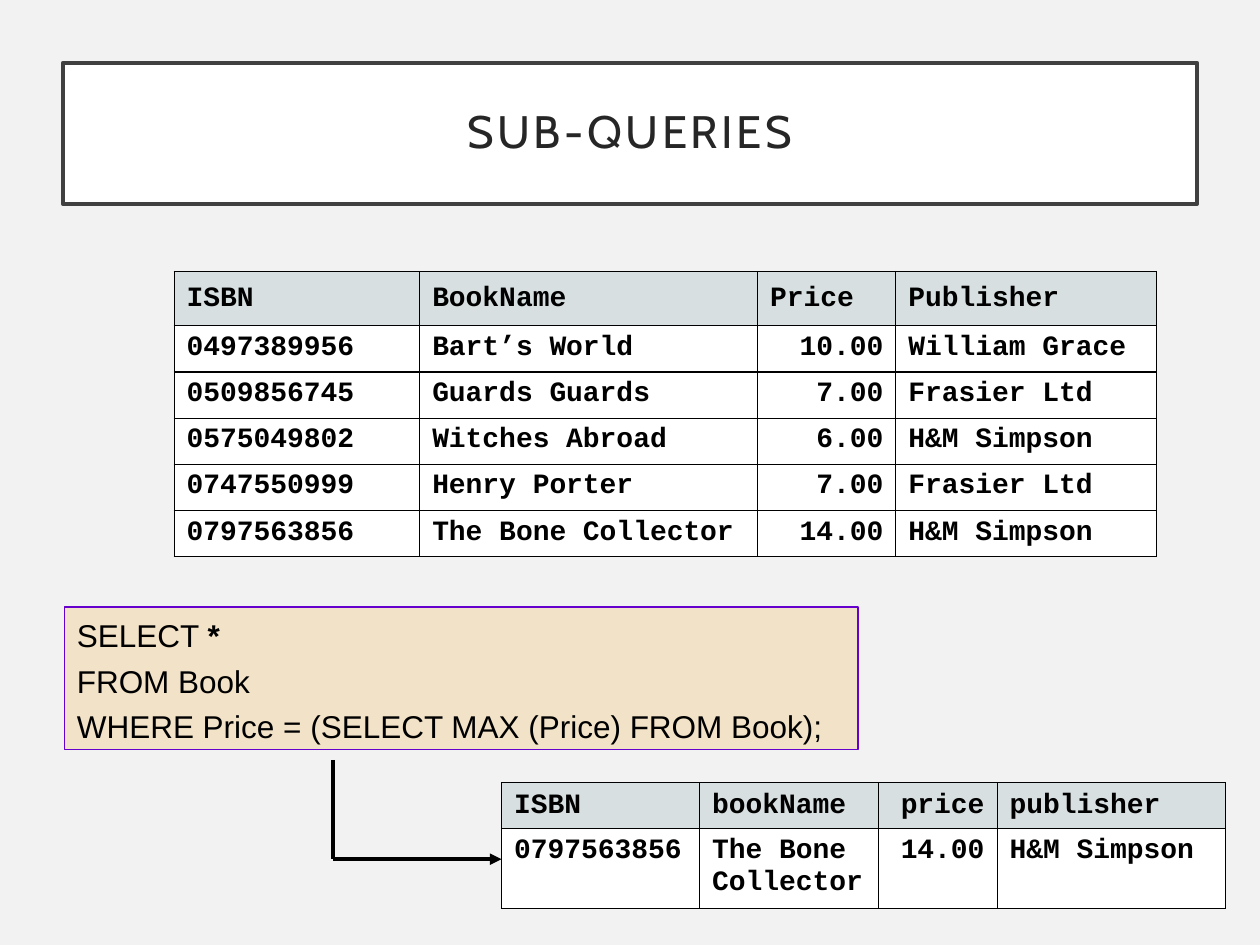
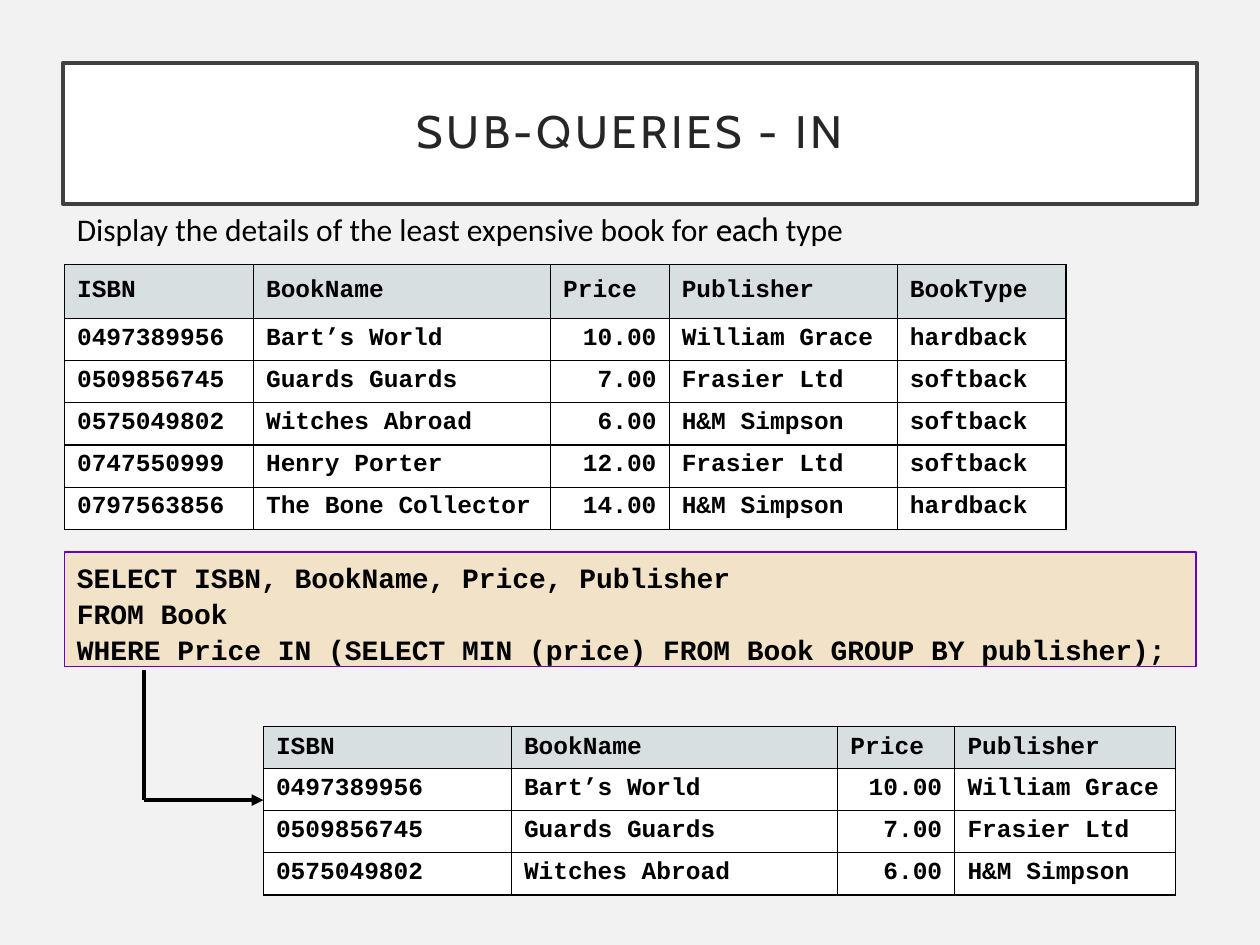
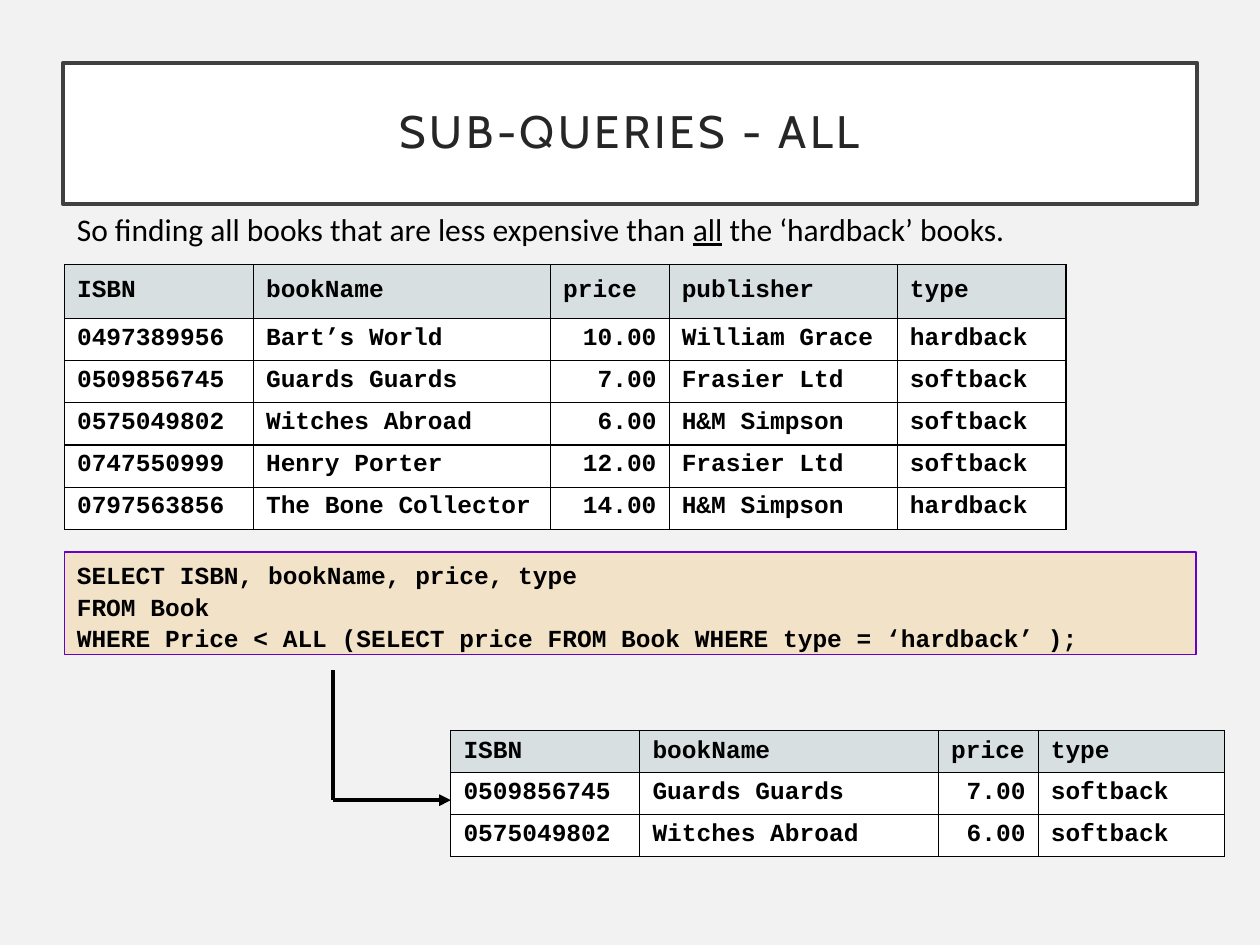
from dataclasses import dataclass, replace
from typing import NamedTuple, Optional

from lxml.etree import SubElement
from pptx import Presentation
from pptx.dml.color import RGBColor
from pptx.enum.shapes import MSO_CONNECTOR as Connector, MSO_SHAPE as Shape
from pptx.enum.text import MSO_ANCHOR as Anchor, MSO_AUTO_SIZE as AutoSize, PP_ALIGN as Align
from pptx.oxml.ns import qn
from pptx.util import Cm, Pt

PAPER, WHITE, BLACK = "F2F2F2", "FFFFFF", "000000"
FRAME, TITLE_INK = "404040", "262626"
HEADER_FILL, CODE_FILL, CODE_EDGE = "D7DFE1", "F6A21D", "6600CC"
MONO, SANS, HUMANIST, DISPLAY = "Courier New", "Arial", "Calibri", "Cabin"
LEFT_EDGE = 1.3


class Run(NamedTuple):
    text: str
    font: Optional[str] = None
    bold: Optional[bool] = None
    underline: Optional[bool] = None


class Box(NamedTuple):
    left: float
    top: float
    width: float
    height: float


@dataclass(frozen=True)
class Book:
    isbn: str
    name: str
    price: str
    publisher: str
    binding: str


@dataclass(frozen=True)
class Grid:
    left: float
    top: float
    widths: tuple[float, ...]
    header_height: float
    row_height: float
    headings: dict[str, str]
    books: list[Book]
    size: int = 14
    price_heading_right: bool = False


@dataclass(frozen=True)
class Query:
    box: Box
    lines: list[list[Run]]
    font: str
    size: int
    bold: bool
    gap: float = 0


@dataclass(frozen=True)
class Elbow:
    left: float
    top: float
    bottom: float
    right: float


@dataclass(frozen=True)
class Lesson:
    title: str
    source: Grid
    query: Query
    arrow: Elbow
    result: Grid
    caption: tuple[Run, ...] = ()
    caption_width: float = 0


BOOKS = [
    Book("0497389956", "Bart’s World", "10.00", "William Grace", "hardback"),
    Book("0509856745", "Guards Guards", "7.00", "Frasier Ltd", "softback"),
    Book("0575049802", "Witches Abroad", "6.00", "H&M Simpson", "softback"),
    Book("0747550999", "Henry Porter", "12.00", "Frasier Ltd", "softback"),
    Book("0797563856", "The Bone Collector", "14.00", "H&M Simpson", "hardback"),
]
BOOKS_WITH_DISCOUNT = [replace(book, price="7.00") if book.name == "Henry Porter" else book
                       for book in BOOKS]

CAPITALISED = {"isbn": "ISBN", "name": "BookName", "price": "Price", "publisher": "Publisher"}
LOWERCASE = {"isbn": "ISBN", "name": "bookName", "price": "price", "publisher": "publisher"}
TYPED_BOOKS = Grid(LEFT_EDGE, 5.33, (3.81, 5.99, 2.39, 4.6, 3.4), 1.09, 0.85,
                   CAPITALISED | {"binding": "BookType"}, BOOKS)

LESSONS = [
    Lesson(
        title="SUB-QUERIES",
        source=Grid(3.51, 5.47, (4.95, 6.81, 2.79, 5.26), 1.1, 0.93,
                    CAPITALISED, BOOKS_WITH_DISCOUNT, size=16),
        query=Query(Box(LEFT_EDGE, 12.24, 16, 2.87),
                    [[Run("SELECT "), Run("*", bold=True)],
                     [Run("FROM Book")],
                     [Run("WHERE Price = (SELECT MAX (Price) FROM Book);")]],
                    SANS, 18, False, gap=3),
        arrow=Elbow(6.71, 15.32, 17.32, 10.11),
        result=Grid(10.11, 15.78, (3.99, 3.61, 2.39, 4.6), 0.93, 1.61,
                    LOWERCASE, BOOKS[4:], size=16, price_heading_right=True),
    ),
    Lesson(
        title="SUB-QUERIES - IN",
        caption=(Run("Display the details of the least expensive book for "),
                 Run("each", font=DISPLAY), Run(" type")),
        caption_width=16.61,
        source=TYPED_BOOKS,
        query=Query(Box(LEFT_EDGE, 11.13, 22.81, 2.31),
                    [[Run("SELECT ISBN, BookName, Price, Publisher")],
                     [Run("FROM Book")],
                     [Run("WHERE Price IN (SELECT MIN (price) FROM Book GROUP BY publisher);")]],
                    MONO, 16, True),
        arrow=Elbow(2.9, 13.51, 16.13, 5.31),
        result=Grid(5.31, 14.65, (5, 6.58, 2.36, 4.45), 0.82, 0.82, CAPITALISED, BOOKS[:3]),
    ),
    Lesson(
        title="SUB-QUERIES - ALL",
        caption=(Run("So finding all books that are less expensive than "),
                 Run("all", underline=True), Run(" the ‘hardback’ books.")),
        caption_width=23.39,
        source=replace(TYPED_BOOKS, headings=LOWERCASE | {"binding": "type"}),
        query=Query(Box(LEFT_EDGE, 11.13, 22.81, 2.06),
                    [[Run("SELECT ISBN, bookName, price, type")],
                     [Run("FROM Book")],
                     [Run("WHERE Price < ALL (SELECT price FROM Book WHERE type = ‘hardback’ );")]],
                    MONO, 14, True),
        arrow=Elbow(6.71, 13.51, 16.13, 9.09),
        result=Grid(9.09, 14.73, (3.81, 6.02, 2.01, 3.76), 0.82, 0.82,
                    {"isbn": "ISBN", "name": "bookName", "price": "price", "binding": "type"},
                    BOOKS[1:3]),
    ),
]


def paint(color_format, hex_color: str) -> None:
    color_format.rgb = RGBColor.from_string(hex_color)


def fill_with(fill, hex_color: str) -> None:
    fill.solid()
    paint(fill.fore_color, hex_color)


def outline(line, hex_color: str, width: float) -> None:
    fill_with(line.fill, hex_color)
    line.width = Pt(width)


def style_font(font, name: str, size: int, hex_color: str = BLACK, bold: bool = False) -> None:
    font.name, font.size, font.bold = name, Pt(size), bold
    paint(font.color, hex_color)


def add_runs(paragraph, runs) -> None:
    for piece in runs:
        run = paragraph.add_run()
        run.text = piece.text
        if piece.font:
            run.font.name = piece.font
        if piece.bold:
            run.font.bold = True
        if piece.underline:
            run.font.underline = True


def draw_title(slide, text: str) -> None:
    title = slide.shapes.title
    title.left, title.top, title.width, title.height = Cm(1.27), Cm(1.27), Cm(22.86), Cm(2.84)
    fill_with(title.fill, WHITE)
    outline(title.line, FRAME, 2.5)
    frame = title.text_frame
    frame.text = text
    frame.auto_size, frame.word_wrap = AutoSize.NONE, True
    frame.vertical_anchor = Anchor.MIDDLE
    frame.margin_left = frame.margin_right = frame.margin_top = frame.margin_bottom = Cm(0.51)
    heading = frame.paragraphs[0]
    heading.alignment, heading.line_spacing = Align.CENTER, 0.9
    style_font(heading.font, DISPLAY, 26, TITLE_INK)
    heading.runs[0].font._element.set("spc", "200")


def draw_caption(slide, runs: tuple[Run, ...], width: float) -> None:
    caption = slide.shapes.add_textbox(Cm(LEFT_EDGE), Cm(4.11), Cm(width), Cm(1.02))
    caption.text_frame.word_wrap = True
    sentence = caption.text_frame.paragraphs[0]
    style_font(sentence.font, HUMANIST, 18)
    add_runs(sentence, runs)


def border_cell(cell) -> None:
    properties = cell._tc.get_or_add_tcPr()
    for side in ("a:lnL", "a:lnR", "a:lnT", "a:lnB"):
        edge = SubElement(properties, qn(side), w=str(Pt(0.75)))
        SubElement(SubElement(edge, qn("a:solidFill")), qn("a:srgbClr"), val=BLACK)


def draw_grid(slide, grid: Grid) -> None:
    rows = [list(grid.headings.values())]
    rows += [[getattr(book, field) for field in grid.headings] for book in grid.books]
    heights = [grid.header_height] + [grid.row_height] * len(grid.books)
    table = slide.shapes.add_table(len(rows), len(grid.widths), Cm(grid.left), Cm(grid.top),
                                   Cm(sum(grid.widths)), Cm(sum(heights))).table
    table.first_row = table.horz_banding = False
    for column, width in zip(table.columns, grid.widths):
        column.width = Cm(width)
    price_column = list(grid.headings).index("price")
    for row_index, (values, height) in enumerate(zip(rows, heights)):
        table.rows[row_index].height = Cm(height)
        is_header = row_index == 0
        for column_index, value in enumerate(values):
            cell = table.cell(row_index, column_index)
            border_cell(cell)
            fill_with(cell.fill, HEADER_FILL if is_header else WHITE)
            cell.vertical_anchor = Anchor.MIDDLE if is_header else Anchor.TOP
            cell.text = value
            entry = cell.text_frame.paragraphs[0]
            if column_index == price_column and (not is_header or grid.price_heading_right):
                entry.alignment = Align.RIGHT
            style_font(entry.font, MONO, grid.size, bold=True)


def draw_query(slide, query: Query) -> None:
    panel = slide.shapes.add_shape(Shape.RECTANGLE, *map(Cm, query.box))
    panel.shadow.inherit = False
    fill_with(panel.fill, CODE_FILL)
    tint = panel.fill._xPr.find(qn("a:solidFill")).find(qn("a:srgbClr"))
    SubElement(tint, qn("a:alpha"), val="20000")
    outline(panel.line, CODE_EDGE, 0.75)
    frame = panel.text_frame
    frame.word_wrap, frame.vertical_anchor = True, Anchor.TOP
    for index, runs in enumerate(query.lines):
        statement = frame.add_paragraph() if index else frame.paragraphs[0]
        statement.alignment, statement.line_spacing = Align.LEFT, 1.07
        if index and query.gap:
            statement.space_before = Pt(query.gap)
        style_font(statement.font, query.font, query.size, bold=query.bold)
        add_runs(statement, runs)


def draw_line(slide, start: tuple[float, float], end: tuple[float, float],
              arrow: bool = False) -> None:
    segment = slide.shapes.add_connector(Connector.STRAIGHT, *map(Cm, start + end))
    outline(segment.line, BLACK, 2.25)
    if arrow:
        SubElement(segment.line._get_or_add_ln(), qn("a:tailEnd"), type="triangle")
    SubElement(segment._element.spPr, qn("a:effectLst"))


def draw_elbow(slide, elbow: Elbow) -> None:
    corner = (elbow.left, elbow.bottom)
    draw_line(slide, (elbow.left, elbow.top), corner)
    draw_line(slide, corner, (elbow.right, elbow.bottom), arrow=True)


def main() -> None:
    deck = Presentation()
    deck.slide_width, deck.slide_height = Cm(25.4), Cm(19.05)
    fill_with(deck.slide_master.background.fill, PAPER)
    title_only = deck.slide_layouts.get_by_name("Title Only")
    for lesson in LESSONS:
        slide = deck.slides.add_slide(title_only)
        draw_title(slide, lesson.title)
        if lesson.caption:
            draw_caption(slide, lesson.caption, lesson.caption_width)
        draw_grid(slide, lesson.source)
        draw_query(slide, lesson.query)
        draw_elbow(slide, lesson.arrow)
        draw_grid(slide, lesson.result)
    deck.save("out.pptx")


if __name__ == "__main__":
    main()
